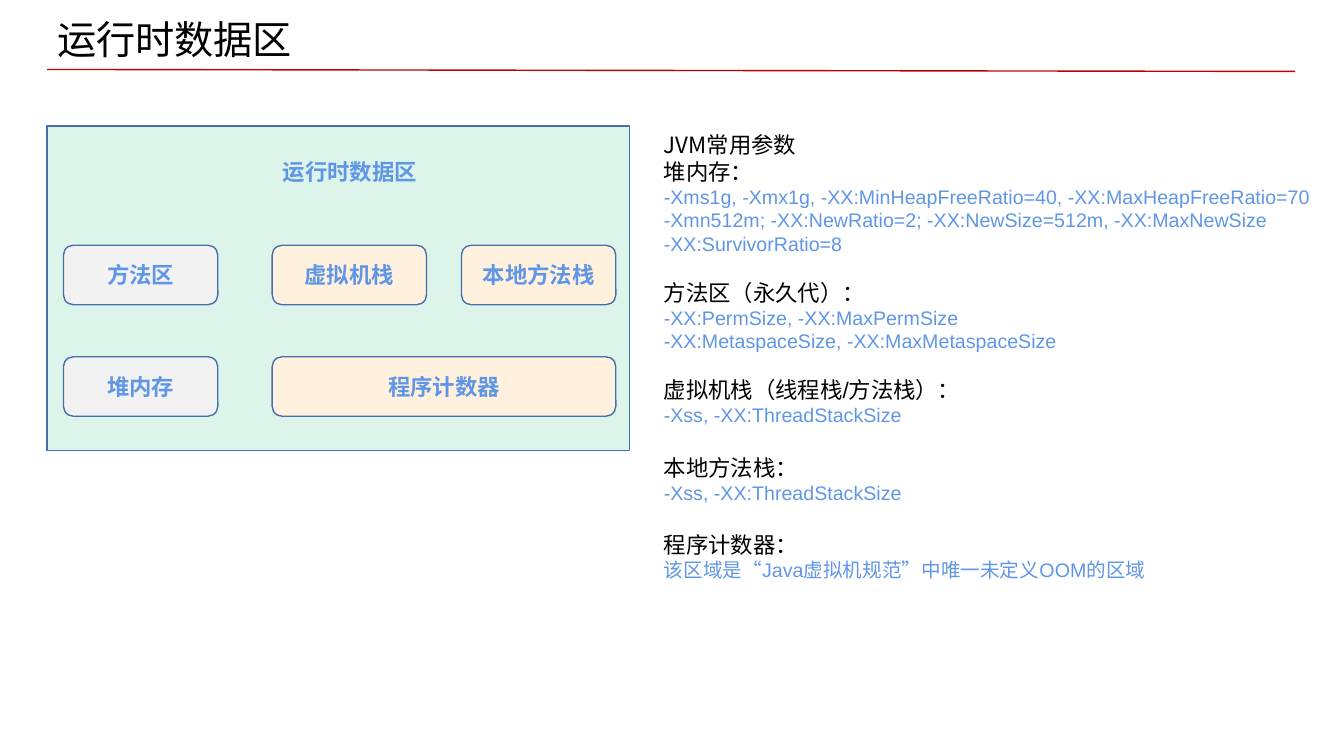
from pptx import Presentation
from pptx.dml.color import RGBColor
from pptx.enum.shapes import MSO_CONNECTOR, MSO_SHAPE
from pptx.enum.text import MSO_ANCHOR, MSO_AUTO_SIZE, PP_ALIGN
from pptx.oxml.ns import qn
from pptx.util import Cm, Pt

RECTANGLE = MSO_SHAPE.RECTANGLE
ROUNDED = MSO_SHAPE.ROUNDED_RECTANGLE
STRAIGHT = MSO_CONNECTOR.STRAIGHT
TOP, MIDDLE = MSO_ANCHOR.TOP, MSO_ANCHOR.MIDDLE
LEFT, CENTER = PP_ALIGN.LEFT, PP_ALIGN.CENTER
NO_AUTOFIT = MSO_AUTO_SIZE.NONE

BLACK = RGBColor(0x00, 0x00, 0x00)
BLUE = RGBColor(0x60, 0x96, 0xE6)
OUTLINE = RGBColor(0x47, 0x6F, 0xAA)
MINT = RGBColor(0xDD, 0xF4, 0xEA)
GREY = RGBColor(0xF2, 0xF2, 0xF2)
CREAM = RGBColor(0xFF, 0xF1, 0xDD)
RED = RGBColor(0xC0, 0x00, 0x00)

LATIN_FONT = "Arial"
CJK_FONT = "Noto Sans CJK SC"
LINE_PITCH = 1.2  # line height as a multiple of the text size

COLUMNS = (1.6, 6.86, 11.63)
ROWS = (6.18, 8.99)
AREA_WIDTH, AREA_HEIGHT = 3.89, 1.5

# name, column, row, columns spanned, fill
MEMORY_AREAS = (
    ("方法区", 0, 0, 1, GREY),
    ("堆内存", 0, 1, 1, GREY),
    ("虚拟机栈", 1, 0, 1, CREAM),
    ("本地方法栈", 2, 0, 1, CREAM),
    ("程序计数器", 1, 1, 2, CREAM),
)

# heading, space before it in points, parameter lines
PARAMETER_GROUPS = (
    ("堆内存：", 0, (
        "-Xms1g, -Xmx1g, -XX:MinHeapFreeRatio=40, -XX:MaxHeapFreeRatio=70",
        "-Xmn512m; -XX:NewRatio=2; -XX:NewSize=512m, -XX:MaxNewSize",
        "-XX:SurvivorRatio=8",
    )),
    ("方法区（永久代）：", 16.8, (
        "-XX:PermSize, -XX:MaxPermSize",
        "-XX:MetaspaceSize, -XX:MaxMetaspaceSize",
    )),
    ("虚拟机栈（线程栈/方法栈）：", 16.8, ("-Xss, -XX:ThreadStackSize",)),
    ("本地方法栈：", 19.2, ("-Xss, -XX:ThreadStackSize",)),
    ("程序计数器：", 19.2, ("该区域是“Java虚拟机规范”中唯一未定义OOM的区域",)),
)


def add_run(paragraph, text, size, color, font=LATIN_FONT, bold=False):
    run = paragraph.add_run()
    run.text = text
    run.font.size = Pt(size)
    run.font.bold = bold
    run.font.color.rgb = color
    run.font.name = font
    east_asian = run.font._element.makeelement(qn("a:ea"), {"typeface": CJK_FONT})
    run.font._element.find(qn("a:latin")).addnext(east_asian)


def place(shape, left, top, width, height):
    shape.left, shape.top = Cm(left), Cm(top)
    shape.width, shape.height = Cm(width), Cm(height)


def set_title(slide, text):
    title = slide.shapes.title
    place(title, 1.19, 0.27, 19.5, 1.45)
    frame = title.text_frame
    frame.auto_size = NO_AUTOFIT
    frame.vertical_anchor = TOP
    paragraph = frame.paragraphs[0]
    paragraph.alignment = LEFT
    paragraph.line_spacing = Pt(28 * LINE_PITCH)
    add_run(paragraph, text, 28, BLACK, CJK_FONT)


def add_title_rule(slide):
    rule = slide.shapes.add_connector(STRAIGHT, Cm(1.19), Cm(1.75), Cm(32.64), Cm(1.8))
    rule.line.color.rgb = RED
    rule.line.width = Pt(1)
    properties = rule._element.spPr
    properties.append(properties.makeelement(qn("a:effectLst"), {}))


def add_area(slide, kind, left, top, width, height, fill):
    area = slide.shapes.add_shape(kind, Cm(left), Cm(top), Cm(width), Cm(height))
    area.shadow.inherit = False
    area.fill.solid()
    area.fill.fore_color.rgb = fill
    area.line.color.rgb = OUTLINE
    area.line.width = Pt(1)
    return area


def add_label(shape, text):
    frame = shape.text_frame
    frame.word_wrap = True
    frame.vertical_anchor = MIDDLE
    paragraph = frame.paragraphs[0]
    paragraph.alignment = CENTER
    add_run(paragraph, text, 16, BLUE, bold=True)


def add_memory_diagram(slide):
    add_area(slide, RECTANGLE, 1.19, 3.18, 14.68, 8.18, MINT)
    caption = slide.shapes.add_textbox(Cm(5.77), Cm(3.86), Cm(6.1), Cm(0.94))
    add_label(caption, "运行时数据区")
    for name, column, row, span, fill in MEMORY_AREAS:
        left = COLUMNS[column]
        width = COLUMNS[column + span - 1] + AREA_WIDTH - left
        area = add_area(slide, ROUNDED, left, ROWS[row], width, AREA_HEIGHT, fill)
        add_label(area, name)


def add_line(paragraph, text, size, color, font=LATIN_FONT, space_before=0):
    paragraph.line_spacing = Pt(size * LINE_PITCH)
    paragraph.space_before = Pt(space_before)
    add_run(paragraph, text, size, color, font)


def add_parameters(slide):
    box = slide.shapes.add_textbox(Cm(16.48), Cm(3.18), Cm(17.37), Cm(11.71))
    frame = box.text_frame
    frame.word_wrap = True
    add_line(frame.paragraphs[0], "JVM常用参数", 16, BLACK, CJK_FONT)
    for heading, gap, parameters in PARAMETER_GROUPS:
        add_line(frame.add_paragraph(), heading, 16, BLACK, space_before=gap)
        for parameter in parameters:
            add_line(frame.add_paragraph(), parameter, 14, BLUE)


def main():
    deck = Presentation()
    deck.slide_width, deck.slide_height = Cm(33.87), Cm(19.05)
    title_only = deck.slide_layouts[5]
    slide = deck.slides.add_slide(title_only)
    set_title(slide, "运行时数据区")
    add_memory_diagram(slide)
    add_parameters(slide)
    add_title_rule(slide)
    deck.save("out.pptx")


if __name__ == "__main__":
    main()
